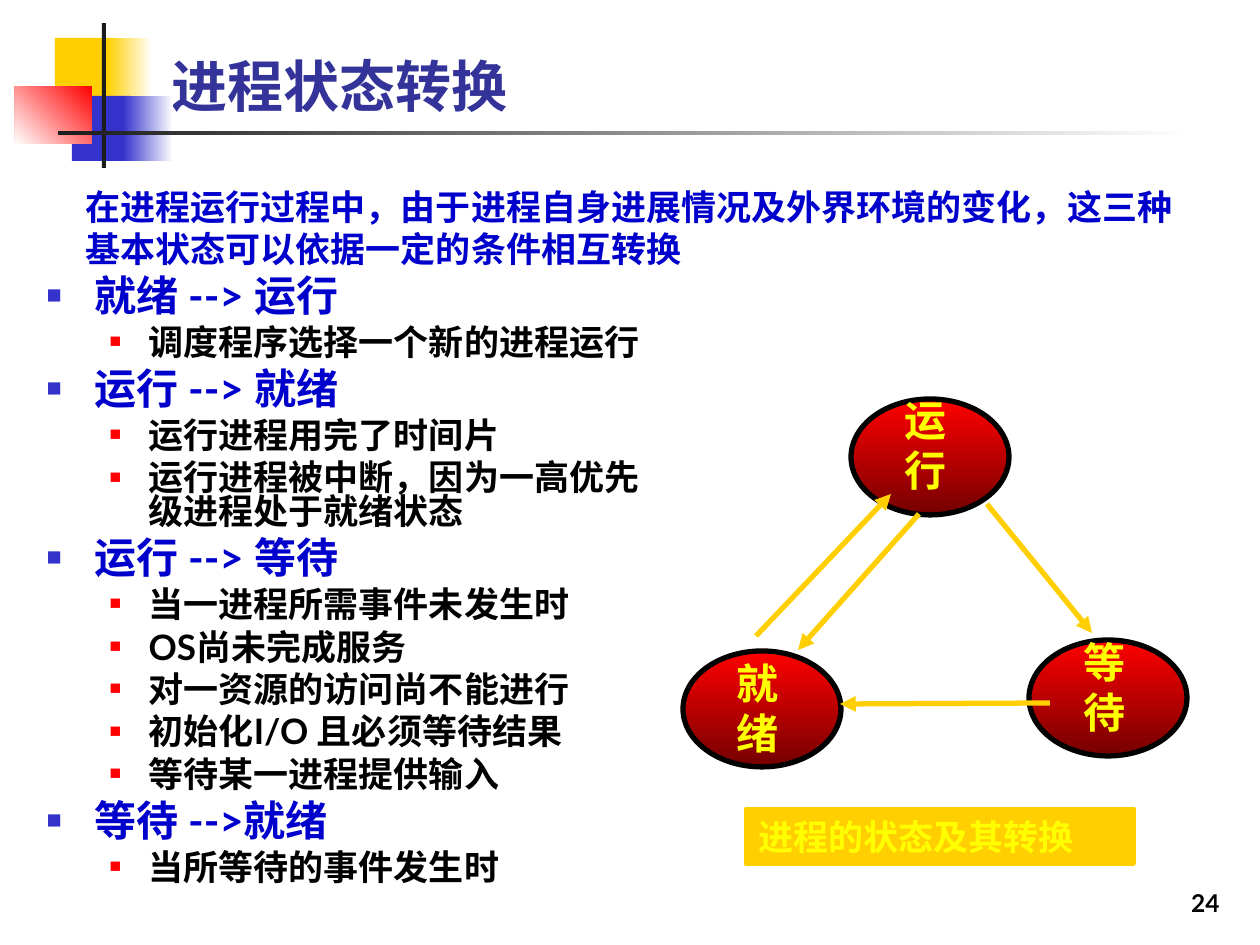
from lxml.etree import SubElement
from pptx import Presentation
from pptx.dml.color import RGBColor
from pptx.enum.shapes import MSO_CONNECTOR as Connector, MSO_SHAPE as Shape
from pptx.enum.text import MSO_ANCHOR as Anchor, MSO_AUTO_SIZE as AutoSize, PP_ALIGN as Align
from pptx.oxml.ns import qn
from pptx.util import Emu, Pt

EMU_PER_PX = 914400 / 126
COLORS = {
    "gold": "FFCF01", "blue": "3333CC", "red": "FF0000", "white": "FFFFFF",
    "charcoal": "1C1C1C", "maroon": "750000", "black": "000000",
    "title": "333399", "heading": "0000CC", "yellow": "FFFF00",
}
RGB = {name: RGBColor.from_string(value) for name, value in COLORS.items()}


def px(*lengths):
    """Turn pixel lengths into a list of EMU lengths."""
    return [Emu(round(length * EMU_PER_PX)) for length in lengths]


def add_span(para, text, size, color, font="Lato"):
    span = para.add_run()
    span.text = text
    span.font.size = Pt(size)
    span.font.name = font
    span.font.bold = True
    span.font.color.rgb = RGB[color]


deck = Presentation()
deck.slide_width, deck.slide_height = px(1260, 945)
page = deck.slides.add_slide(deck.slide_layouts[1])

# Corner ornament and the three state ellipses: bounds, colours, gradient angle
filled_shapes = [
    (Shape.RECTANGLE, (55, 38, 60, 65), ["gold"], None),
    (Shape.RECTANGLE, (107, 38, 45, 65), ["white", "gold"], 180),
    (Shape.RECTANGLE, (72, 96, 58, 65), ["blue"], None),
    (Shape.RECTANGLE, (123, 96, 50, 65), ["white", "blue"], 180),
    (Shape.RECTANGLE, (15, 86, 77, 58), ["red", "white"], 225),
    (Shape.RECTANGLE, (102, 23, 4, 145), ["charcoal"], None),
    (Shape.RECTANGLE, (58, 131, 1134, 4), ["white", "charcoal"], 180),
    (Shape.OVAL, (683, 651, 158, 116), ["red", "maroon"], 270),
    (Shape.OVAL, (851, 399, 158, 116), ["red", "maroon"], 270),
    (Shape.OVAL, (1029, 640, 158, 116), ["red", "maroon"], 270),
]
for kind, bounds, names, angle in filled_shapes:
    shape = page.shapes.add_shape(kind, *px(*bounds))
    shape.shadow.inherit = False
    if angle is None:
        shape.fill.solid()
        shape.fill.fore_color.rgb = RGB[names[0]]
    else:
        shape.fill.gradient()
        shape.fill.gradient_angle = angle
        for stop, name in zip(shape.fill.gradient_stops, names):
            stop.color.rgb = RGB[name]
    if kind == Shape.OVAL:
        shape.line.color.rgb = RGB["black"]
        shape.line.width = Pt(3)
    else:
        shape.line.fill.background()

# Title
title = page.shapes.title
title.left, title.top, title.width, title.height = px(159, 29, 1074, 96)
title.text_frame.vertical_anchor = Anchor.BOTTOM
title.text_frame.auto_size = AutoSize.NONE
title_para = title.text_frame.paragraphs[0]
title_para.alignment = Align.LEFT
add_span(title_para, "进程状态转换", 32, "title")

# Transitions list
transitions = [
    ("就绪 --> 运行", ["调度程序选择一个新的进程运行"]),
    ("运行 --> 就绪", ["运行进程用完了时间片",
                   "运行进程被中断，因为一高优先级进程处于就绪状态"]),
    ("运行 --> 等待", ["当一进程所需事件未发生时", "OS尚未完成服务",
                   "对一资源的访问尚不能进行", "初始化I/O 且必须等待结果",
                   "等待某一进程提供输入"]),
    ("等待 -->就绪", ["当所等待的事件发生时"]),
]
# Per level: size, text colour, bullet colour, bullet percent, margin, indent, space before
levels = [
    (24, "heading", "blue", 60, 48, -48, 6),
    (20, "black", "red", 55, 102, -39, 5),
]
body = page.placeholders[1]
body.left, body.top, body.width, body.height = px(34, 273, 627, 640)
frame = body.text_frame
frame.auto_size = AutoSize.NONE
lines = [(level, text) for heading, causes in transitions
         for level, text in [(0, heading)] + [(1, cause) for cause in causes]]
for index, (level, text) in enumerate(lines):
    size, color, bullet_color, percent, margin, indent, before = levels[level]
    para = frame.add_paragraph() if index else frame.paragraphs[0]
    para.level = level
    para.line_spacing = 0.8
    para.space_before = Pt(before if index else 0)
    props = para._p.get_or_add_pPr()
    for key, length in zip(("marL", "indent"), px(margin, indent)):
        props.set(key, str(length))
    bullet_fill = SubElement(props, qn("a:buClr"))
    SubElement(bullet_fill, qn("a:srgbClr"), val=COLORS[bullet_color])
    SubElement(props, qn("a:buSzPct"), val=str(percent * 1000))
    SubElement(props, qn("a:buChar"), char="■")
    add_span(para, text, size, color)

# Arrows between the states
arrows = [
    (756, 636, 891, 494),
    (919, 514, 798, 650),
    (1050, 703, 840, 704),
    (987, 504, 1092, 633),
]
for ends in arrows:
    arrow = page.shapes.add_connector(Connector.STRAIGHT, *px(*ends))
    arrow.line.color.rgb = RGB["gold"]
    arrow.line.width = Pt(3)
    SubElement(arrow.line._get_or_add_ln(), qn("a:tailEnd"), type="triangle")
    SubElement(arrow._element.spPr, qn("a:effectLst"))

# Diagram caption
caption = page.shapes.add_shape(Shape.RECTANGLE, *px(746, 809, 388, 55))
caption.shadow.inherit = False
caption.fill.solid()
caption.fill.fore_color.rgb = RGB["gold"]
caption.line.color.rgb = RGB["gold"]
caption.line.width = Pt(2.25)
caption.text_frame.vertical_anchor = Anchor.MIDDLE
caption_para = caption.text_frame.paragraphs[0]
caption_para.alignment = Align.LEFT
add_span(caption_para, "进程的状态及其转换", 20, "yellow", "Times New Roman")

# State names, introduction and page number
intro = "在进程运行过程中，由于进程自身进展情况及外界环境的变化，这三种基本状态可以依据一定的条件相互转换"
labels = [
    ((892, 388, 105, 113), "运行", 24, "yellow", "Times New Roman", Align.LEFT, Anchor.TOP),
    ((724, 651, 105, 113), "就绪", 24, "yellow", "Times New Roman", Align.LEFT, Anchor.TOP),
    ((1071, 630, 105, 113), "等待", 24, "yellow", "Times New Roman", Align.LEFT, Anchor.TOP),
    ((73, 179, 1142, 97), intro, 20, "heading", "Lato", Align.LEFT, Anchor.TOP),
    ((970, 861, 262, 63), "24", 14, "black", "Lato", Align.RIGHT, Anchor.BOTTOM),
]
for bounds, text, size, color, font, align, anchor in labels:
    box = page.shapes.add_textbox(*px(*bounds))
    box.text_frame.word_wrap = True
    box.text_frame.vertical_anchor = anchor
    para = box.text_frame.paragraphs[0]
    para.alignment = align
    add_span(para, text, size, color, font)

deck.save("out.pptx")
